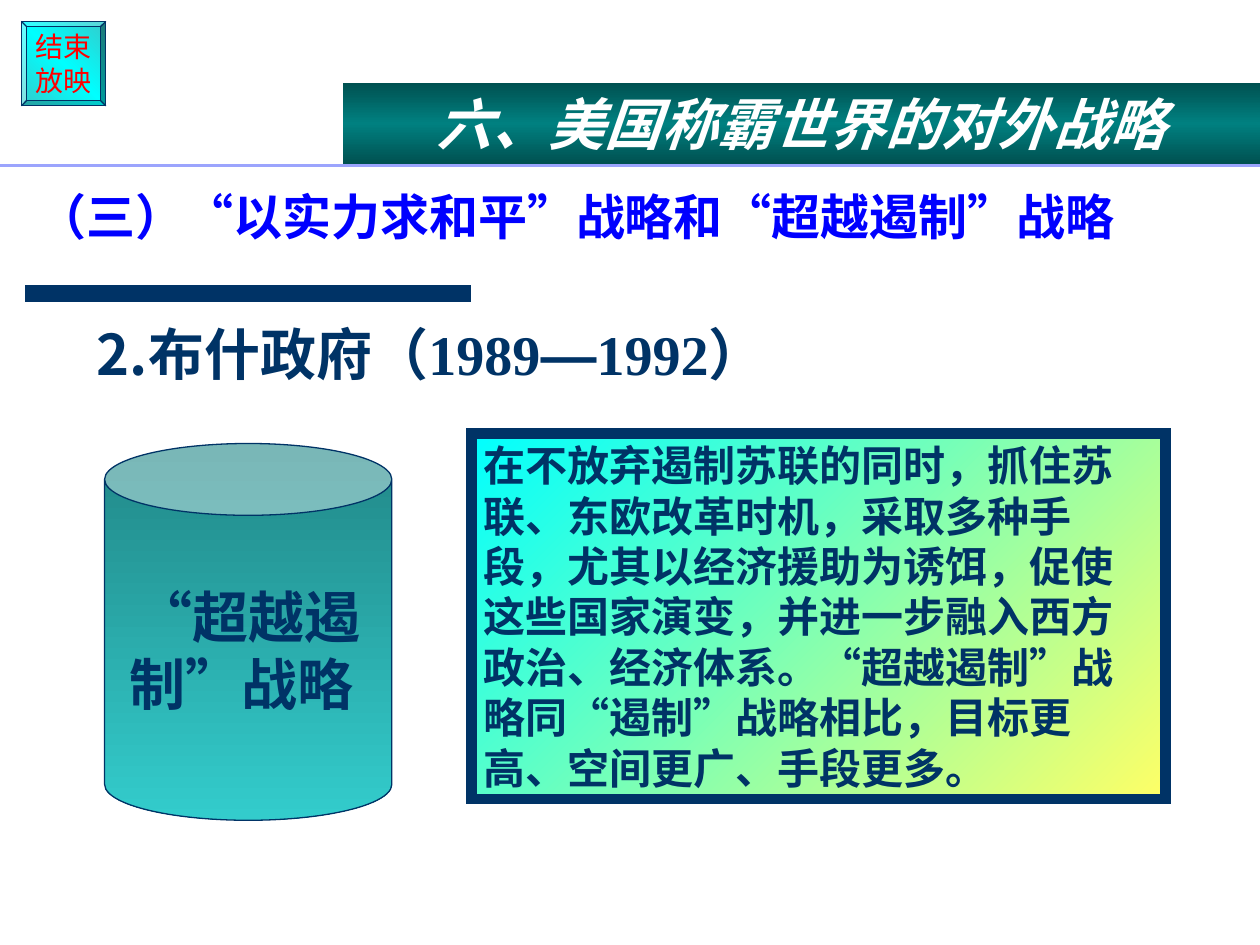
from lxml import etree
from pptx import Presentation
from pptx.dml.color import RGBColor
from pptx.enum.lang import MSO_LANGUAGE_ID as LANG
from pptx.enum.shapes import MSO_CONNECTOR, MSO_SHAPE as SHAPE
from pptx.enum.text import MSO_ANCHOR as ANCHOR, PP_ALIGN as ALIGN
from pptx.oxml.ns import qn
from pptx.util import Inches, Pt

W, H = 10, 7.5
CJK, SANS, SERIF = "Noto Sans CJK SC", "Arial", "Times New Roman"
COLORS = {
    "navy": "003366", "blue": "0000FF", "red": "FF0000", "white": "FFFFFF",
    "rule": "9BA4FD", "aqua": "33CCCC", "cyan": "00FFFF", "yellow": "FFFF66",
    "sea": "218787", "teal": "008080", "deep": "005151",
}


def rgb(name):
    return RGBColor.from_string(COLORS[name])


def place(sp, left, top, width, height):
    sp.left, sp.top = Inches(left), Inches(top)
    sp.width, sp.height = Inches(width), Inches(height)


def write(sp, paragraphs, size=32, color="navy", font=CJK, bold=True, italic=False,
          align=ALIGN.LEFT, anchor=ANCHOR.TOP, wrap=True, spacing=1.0):
    """Each paragraph is a string or a list of (text, latin font) runs."""
    tf = sp.text_frame
    tf.word_wrap, tf.vertical_anchor = wrap, anchor
    for i, content in enumerate(paragraphs):
        p = tf.paragraphs[0] if i == 0 else tf.add_paragraph()
        p.alignment, p.line_spacing = align, spacing
        p.space_before = Pt(0)
        # Keep punctuation inside the right margin
        p._p.get_or_add_pPr().set("hangingPunct", "0")
        runs = [(content, font)] if isinstance(content, str) else content
        for text, latin in runs:
            r = p.add_run()
            r.text = text
            f = r.font
            f.size, f.bold, f.italic, f.name = Pt(size), bold, italic, latin
            f.color.rgb = rgb(color)
            f.language_id = LANG.SIMPLIFIED_CHINESE
            ea = etree.Element(qn("a:ea"), typeface=CJK)
            r._r.rPr.find(qn("a:latin")).addnext(ea)


def gradient(sp, names, angle):
    """Evenly spaced stops, angle clockwise in degrees."""
    sp.fill.gradient()
    grad = sp._element.spPr.find(qn("a:gradFill"))
    stops = grad.find(qn("a:gsLst"))
    for old in list(stops):
        stops.remove(old)
    for i, name in enumerate(names):
        gs = etree.SubElement(stops, qn("a:gs"), pos=str(100000 * i // (len(names) - 1)))
        etree.SubElement(gs, qn("a:srgbClr"), val=COLORS[name])
    lin = grad.find(qn("a:lin"))
    lin.set("ang", str(angle * 60000))
    lin.set("scaled", "0")


def add_panel(s, kind, box, fill, angle, line=None, adjust=None):
    sp = s.shapes.add_shape(kind, 0, 0, 0, 0)
    place(sp, *box)
    sp.shadow.inherit = False
    gradient(sp, fill, angle)
    if adjust is not None:
        sp.adjustments[0] = adjust
    if line:
        sp.line.color.rgb, sp.line.width = rgb("navy"), Pt(line)
        # Square corners
        etree.SubElement(sp._element.spPr.find(qn("a:ln")), qn("a:miter"), lim="800000")
    else:
        sp.line.fill.background()
    return sp


def add_rule(s, left, right, y, color, width):
    ends = [Inches(v) for v in (left, y, right, y)]
    cn = s.shapes.add_connector(MSO_CONNECTOR.STRAIGHT, *ends)
    cn.line.color.rgb, cn.line.width = rgb(color), Pt(width)
    etree.SubElement(cn._element.spPr, qn("a:effectLst"))


def main():
    prs = Presentation()
    prs.slide_width, prs.slide_height = Inches(W), Inches(H)
    s = prs.slides.add_slide(prs.slide_layouts[5])

    # Section title and the bar under it
    title = s.shapes.title
    place(title, 0.2, 0.91, 8.99, 1.09)
    write(title, ["（三）“以实力求和平”战略和“超越遏制”战略"], size=28, color="blue",
          anchor=ANCHOR.BOTTOM, spacing=0.9)
    add_rule(s, 0.2, 3.74, 2.33, "navy", 10)

    # End-show button
    button = add_panel(s, SHAPE.BEVEL, (0.17, 0.17, 0.67, 0.67),
                       ["aqua", "cyan", "aqua"], 135, line=0.75, adjust=0.06)
    write(button, ["结束", "放映"], size=16, color="red", font=SANS, bold=False,
          align=ALIGN.CENTER, anchor=ANCHOR.MIDDLE, wrap=False)

    # Heading
    heading = s.shapes.add_textbox(0, 0, 0, 0)
    place(heading, 0.67, 2.49, 8.74, 0.87)
    write(heading, [[("2.", CJK), ("布什政府（", SANS), ("1989", SERIF), ("—", SANS),
                     ("1992", SERIF), ("）", SANS)]])

    # Strategy name and its explanation
    can = add_panel(s, SHAPE.CAN, (0.83, 3.52, 2.28, 2.99), ["sea", "aqua"], 90,
                    line=0.75, adjust=0.25)
    write(can, ["“超越遏", "制”战略 "], align=ALIGN.CENTER, anchor=ANCHOR.MIDDLE,
          wrap=False)
    detail = add_panel(s, SHAPE.RECTANGLE, (3.74, 3.44, 5.51, 2.9),
                       ["yellow", "cyan"], 225, line=6)
    write(detail, ["在不放弃遏制苏联的同时，抓住苏联、东欧改革时机，采取多种手段，"
                   "尤其以经济援助为诱饵，促使这些国家演变，并进一步融入西方政治、经济体系。"
                   "“超越遏制”战略同“遏制”战略相比，目标更高、空间更广、手段更多。"], size=24)

    # Chapter banner with the full-width rule
    banner = add_panel(s, SHAPE.RECTANGLE, (2.72, 0.66, W - 2.72, 0.64),
                       ["deep", "teal", "deep"], 90)
    write(banner, ["六、美国称霸世界的对外战略"], color="white", italic=True,
          align=ALIGN.CENTER, anchor=ANCHOR.MIDDLE)
    add_rule(s, 0, W, 1.31, "rule", 1.75)

    prs.save("out.pptx")


if __name__ == "__main__":
    main()
